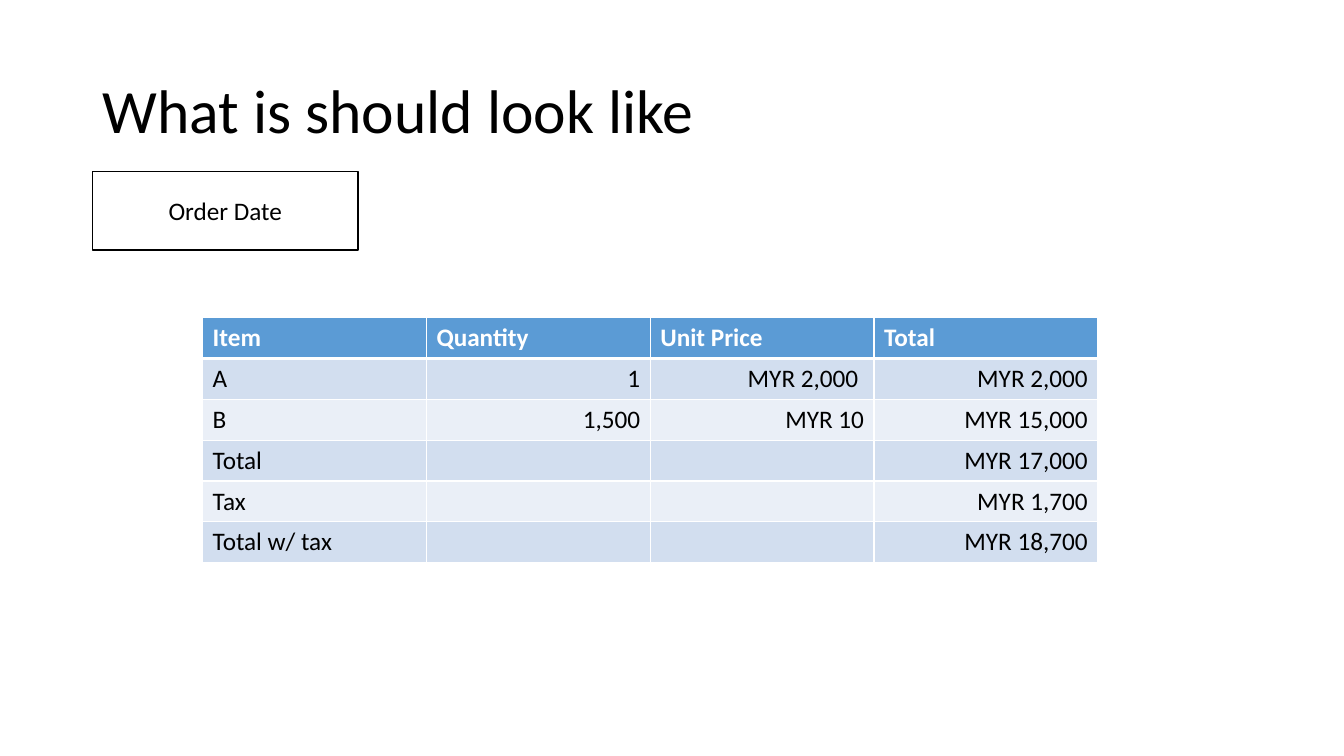
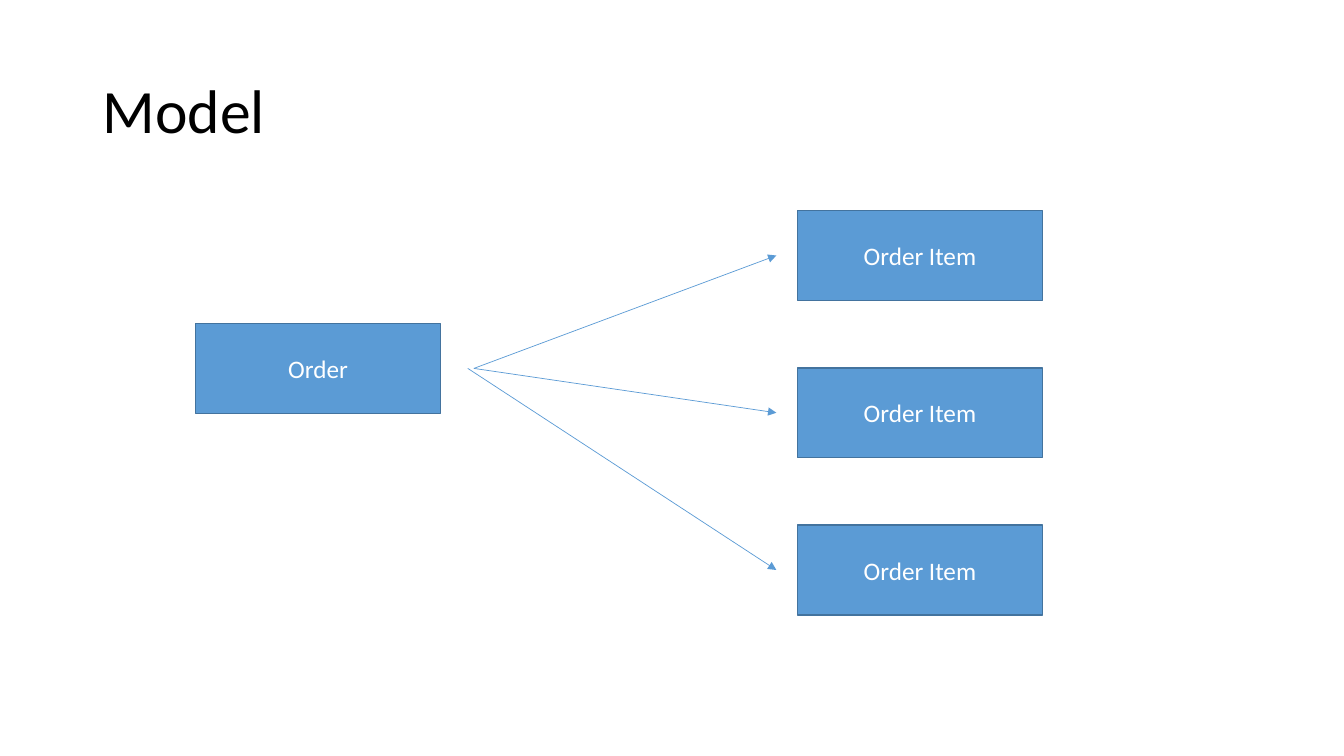
from lxml.etree import SubElement
from pptx import Presentation
from pptx.dml.color import RGBColor
from pptx.enum.shapes import MSO_CONNECTOR, MSO_SHAPE
from pptx.enum.text import MSO_ANCHOR, MSO_AUTO_SIZE, PP_ALIGN
from pptx.oxml import parse_xml
from pptx.oxml.ns import nsdecls, qn
from pptx.util import Inches, Pt

COLORS = {
    "black": "000000",
    "white": "FFFFFF",
    "blue": "5B9BD5",
    "outline": "43739E",
    "band_dark": "D2DEEF",
    "band_light": "EAEFF7",
}
FONT = "Calibri"


def rgb(name):
    return RGBColor.from_string(COLORS[name])


class Deck:
    """Holds the shared style and the current slide."""

    def __init__(self):
        self.prs = Presentation()
        self.prs.slide_width = Inches(13.33)
        self.prs.slide_height = Inches(7.5)
        self.s = None

    def style(self, p, color, size=18, bold=False, align=PP_ALIGN.LEFT):
        p.alignment = align
        for r in p.runs:
            r.font.name = FONT
            r.font.size = Pt(size)
            r.font.bold = bold
            r.font.color.rgb = rgb(color)

    def slide(self, title):
        self.s = self.prs.slides.add_slide(self.prs.slide_layouts[5])
        sp = self.s.shapes.title
        sp.left, sp.top = Inches(0.92), Inches(0.4)
        sp.width, sp.height = Inches(11.5), Inches(1.45)
        tf = sp.text_frame
        tf.text = title
        tf.auto_size = MSO_AUTO_SIZE.NONE
        tf.vertical_anchor = MSO_ANCHOR.MIDDLE
        tf.paragraphs[0].line_spacing = 0.9
        self.style(tf.paragraphs[0], "black", size=44)

    def box(self, text, x, y, w, h, fill="blue", line="outline", color="white"):
        sp = self.s.shapes.add_shape(
            MSO_SHAPE.RECTANGLE, Inches(x), Inches(y), Inches(w), Inches(h))
        sp.shadow.inherit = False
        sp.fill.solid()
        sp.fill.fore_color.rgb = rgb(fill)
        sp.line.color.rgb = rgb(line)
        sp.line.width = Pt(1)
        tf = sp.text_frame
        tf.text = text
        tf.word_wrap = True
        tf.vertical_anchor = MSO_ANCHOR.MIDDLE
        self.style(tf.paragraphs[0], color, align=PP_ALIGN.CENTER)

    def arrow(self, x1, y1, x2, y2):
        line = self.s.shapes.add_connector(
            MSO_CONNECTOR.STRAIGHT, Inches(x1), Inches(y1), Inches(x2), Inches(y2))
        line.line.color.rgb = rgb("blue")
        line.line.width = Pt(0.5)
        SubElement(line.line._get_or_add_ln(), qn("a:tailEnd"), type="triangle")
        SubElement(line._element.spPr, qn("a:effectLst"))

    def borders(self, cell, top, bottom):
        """Draw white cell edges; they come before the fill in the cell XML."""
        edges = [("lnL", 1), ("lnR", 1), ("lnT", top), ("lnB", bottom)]
        tcPr = cell._tc.get_or_add_tcPr()
        for i, (tag, width) in enumerate(edges):
            tcPr.insert(i, parse_xml(
                f'<a:{tag} {nsdecls("a")} w="{Pt(width)}"><a:solidFill>'
                f'<a:srgbClr val="{COLORS["white"]}"/></a:solidFill></a:{tag}>'))

    def table(self, rows, x, y, col_w, row_h):
        n_cols = len(rows[0])
        table = self.s.shapes.add_table(
            len(rows), n_cols, Inches(x), Inches(y),
            Inches(col_w * n_cols), Inches(row_h * len(rows))).table
        for col in table.columns:
            col.width = Inches(col_w)
        for i, values in enumerate(rows):
            table.rows[i].height = Inches(row_h)
            header = i == 0
            band = "band_dark" if i % 2 else "band_light"
            for j, value in enumerate(values):
                cell = table.cell(i, j)
                cell.fill.solid()
                cell.fill.fore_color.rgb = rgb("blue" if header else band)
                self.borders(cell, top=3 if i == 1 else 1, bottom=3 if header else 1)
                cell.text_frame.text = value
                self.style(
                    cell.text_frame.paragraphs[0],
                    "white" if header else "black", bold=header,
                    align=PP_ALIGN.LEFT if header or j == 0 else PP_ALIGN.RIGHT)


def main():
    deck = Deck()

    # Order form
    deck.slide("What is should look like")
    deck.box("Order Date", 0.92, 1.7, 2.63, 0.78,
             fill="white", line="black", color="black")
    deck.table([
        ["Item", "Quantity", "Unit Price", "Total"],
        ["A", "1", "MYR 2,000 ", "MYR 2,000"],
        ["B", "1,500", "MYR 10", "MYR 15,000"],
        ["Total", "", "", "MYR 17,000"],
        ["Tax", "", "", "MYR 1,700"],
        ["Total w/ tax", "", "", "MYR 18,700"],
    ], x=2.01, y=3.15, col_w=2.22, row_h=0.405)

    # Data model: one order, several items
    deck.slide("Model")
    box_w, box_h = 2.43, 0.89
    order_y = 3.21
    deck.box("Order", 1.94, order_y, box_w, box_h)
    item_tops = [2.09 + 1.56 * i for i in range(3)]
    for y in item_tops:
        deck.box("Order Item", 7.91, y, box_w, box_h)
    for x, y in zip([4.7, 4.7, 4.64], item_tops):
        deck.arrow(x, order_y + box_h / 2, 7.7, y + box_h / 2)

    deck.prs.save("out.pptx")


if __name__ == "__main__":
    main()
